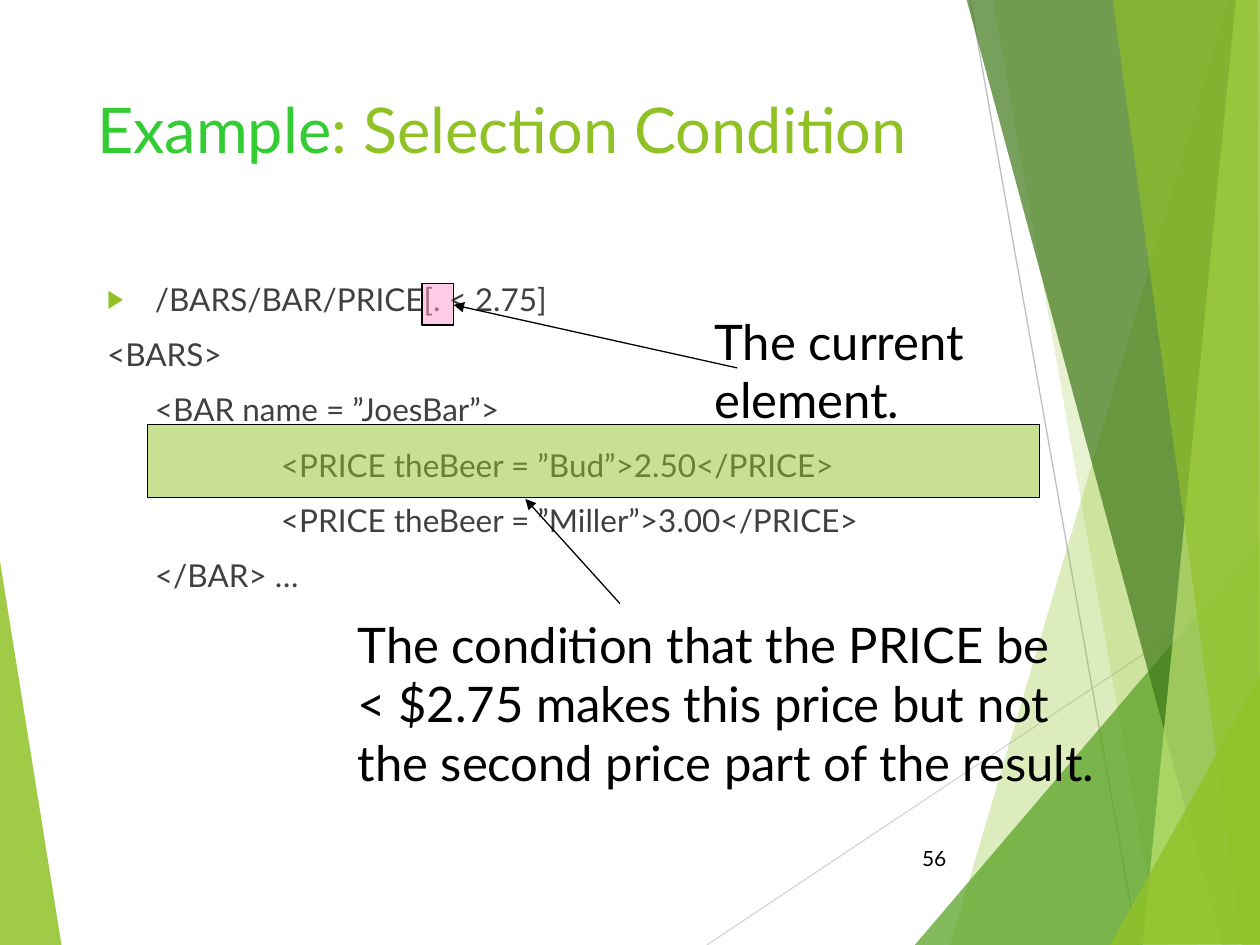
from lxml import etree
from pptx import Presentation
from pptx import util as u
from pptx.dml.color import RGBColor
from pptx.enum import shapes, text
from pptx.oxml.ns import qn

THEME = dict(
    font="Lato", title=36, body=18, note=28, number=12,
    green="90C226", bright="33CC33", leaf="54A021", dark="3F7819",
    lime="C0E474", pink="FF99CC", ink="000000", grey="404040",
    pale="D9D9D9", silver="BFBFBF", line=0.75,
)

TITLE = [("Example", "bright"), (": Selection Condition", "green")]
CODE = [
    (0.38, "/BARS/BAR/PRICE[. < 2.75]"),
    (0, "<BARS>"),
    (0.38, "<BAR name = ”JoesBar”>"),
    (1.38, "<PRICE theBeer = ”Bud”>2.50</PRICE>"),
    (1.38, "<PRICE theBeer = ”Miller”>3.00</PRICE>"),
    (0.38, "</BAR> …"),
]
NOTES = [
    ((2.74, 4.83, 6.21, 1.5), ["The condition that the PRICE be",
                               "< $2.75 makes this price but not",
                               "the second price part of the result."]),
    ((5.57, 2.42, 2.32, 1.04), ["The current", "element."]),
]
HIGHLIGHTS = [((1.17, 3.37, 7.08, 0.58), "green"), ((3.35, 2.25, 0.25, 0.33), "pink")]
ARROWS = [((4.92, 4.79), (4.17, 3.96)), ((5.85, 2.92), (3.6, 2.42))]
RULES = [((5.61, 7.5), (10.01, 4.57), "pale"), ((7.7, 0), (9.03, 7.5), "silver")]
LEFT_FACET = ([(-0.01, 4.39), (0.49, 7.51), (-0.01, 7.5)], "green", 85)
RIGHT_FACETS = [
    ([(9.75, 0), (7.54, 7.5), (10.02, 7.51), (10.01, 0.01)], "green", 30),
    ([(7.88, -0.01), (9.2, 7.5), (10.01, 7.5), (10.01, -0.01)], "green", 20),
    ([(7.26, 7.5), (10, 4.29), (10.01, 7.5)], "leaf", 72),
    ([(7.67, -0.01), (9.7, 7.5), (10.01, 7.49), (10.01, -0.01)], "dark", 70),
    ([(9.81, -0.01), (9.07, 7.5), (10.01, 7.5), (10, -0.01)], "lime", 70),
    ([(8.83, -0.01), (9.86, 7.5), (10, 7.5), (9.98, -0.01)], "green", 65),
    ([(8.81, 7.5), (10.01, 5.35), (10.01, 7.49)], "green", 80),
]


def color(name):
    return RGBColor.from_string(THEME[name])


def inches(values):
    return [u.Inches(v) for v in values]


def style(r, size, ink):
    r.font.name = THEME["font"]
    r.font.size = u.Pt(THEME[size])
    r.font.color.rgb = color(ink)


def fill(sp, name, alpha):
    sp.shadow.inherit = False
    sp.fill.solid()
    sp.fill.fore_color.rgb = color(name)
    rgb = sp._element.spPr.find(qn("a:solidFill"))[0]
    etree.SubElement(rgb, qn("a:alpha"), val=str(alpha * 1000))


def facet(s, points, name, alpha):
    first, *rest = [tuple(inches(pt)) for pt in points]
    fb = s.shapes.build_freeform(*first)
    fb.add_line_segments(rest, close=True)
    sp = fb.convert_to_shape()
    fill(sp, name, alpha)
    sp.line.fill.background()


def line(s, start, end, name, arrow=False):
    c = s.shapes.add_connector(shapes.MSO_CONNECTOR.STRAIGHT, *inches(start + end))
    c.line.color.rgb = color(name)
    c.line.width = u.Pt(THEME["line"])
    if arrow:
        etree.SubElement(c.line._get_or_add_ln(), qn("a:tailEnd"), type="triangle")
    etree.SubElement(c._element.spPr, qn("a:effectLst"))


def frame(sp, box, anchor=text.MSO_ANCHOR.TOP):
    sp.left, sp.top, sp.width, sp.height = inches(box)
    tf = sp.text_frame
    tf.word_wrap = True
    tf.auto_size = text.MSO_AUTO_SIZE.NONE
    tf.vertical_anchor = anchor
    return tf


def bullet(p, shown):
    pPr = p._p.get_or_add_pPr()
    if not shown:
        etree.SubElement(pPr, qn("a:buNone"))
        return
    clr = etree.SubElement(pPr, qn("a:buClr"))
    etree.SubElement(clr, qn("a:srgbClr"), val=THEME["green"])
    etree.SubElement(pPr, qn("a:buSzPct"), val="80000")
    etree.SubElement(pPr, qn("a:buChar"), char="▶")


def add_title(s):
    sp = s.shapes.title
    s.shapes._spTree.append(sp._element)
    p = frame(sp, (0.67, 0.67, 6.94, 1.44)).paragraphs[0]
    p.alignment = text.PP_ALIGN.LEFT
    for words, ink in TITLE:
        r = p.add_run()
        r.text = words
        style(r, "title", ink)


def add_code(s):
    sp = s.placeholders[1]
    s.shapes._spTree.append(sp._element)
    tf = frame(sp, (0.75, 2.17, 8.75, 4.5))
    tf.text = "\n".join(words for _, words in CODE)
    for i, (p, (indent, _)) in enumerate(zip(tf.paragraphs, CODE)):
        pPr = p._p.get_or_add_pPr()
        pPr.set("marL", str(u.Inches(indent)))
        pPr.set("indent", str(u.Inches(0 if i else -indent)))
        bullet(p, i == 0)
        p.space_before = u.Pt(10 if i else 0)
        style(p.runs[0], "body", "grey")


def add_text(s, box, lines, size, align, anchor):
    tf = frame(s.shapes.add_textbox(*inches(box)), box, anchor)
    tf.text = "\n".join(lines)
    for p in tf.paragraphs:
        p.alignment = align
        style(p.runs[0], size, "ink")


def main():
    prs = Presentation()
    prs.slide_width, prs.slide_height = inches((10, 7.5))
    s = prs.slides.add_slide(prs.slide_layouts[1])

    facet(s, *LEFT_FACET)
    for rule in RULES:
        line(s, *rule)
    for shape in RIGHT_FACETS:
        facet(s, *shape)

    add_title(s)
    add_code(s)
    add_text(s, (7.05, 6.61, 0.56, 0.4), ["56"], "number",
             text.PP_ALIGN.RIGHT, text.MSO_ANCHOR.MIDDLE)

    for (box, name), (note_box, lines), (start, end) in zip(HIGHLIGHTS, NOTES, ARROWS):
        sp = s.shapes.add_shape(shapes.MSO_SHAPE.RECTANGLE, *inches(box))
        fill(sp, name, 50)
        sp.line.color.rgb = color("ink")
        sp.line.width = u.Pt(THEME["line"])
        add_text(s, note_box, lines, "note", text.PP_ALIGN.LEFT, text.MSO_ANCHOR.TOP)
        line(s, start, end, "ink", arrow=True)

    prs.save("out.pptx")


if __name__ == "__main__":
    main()
